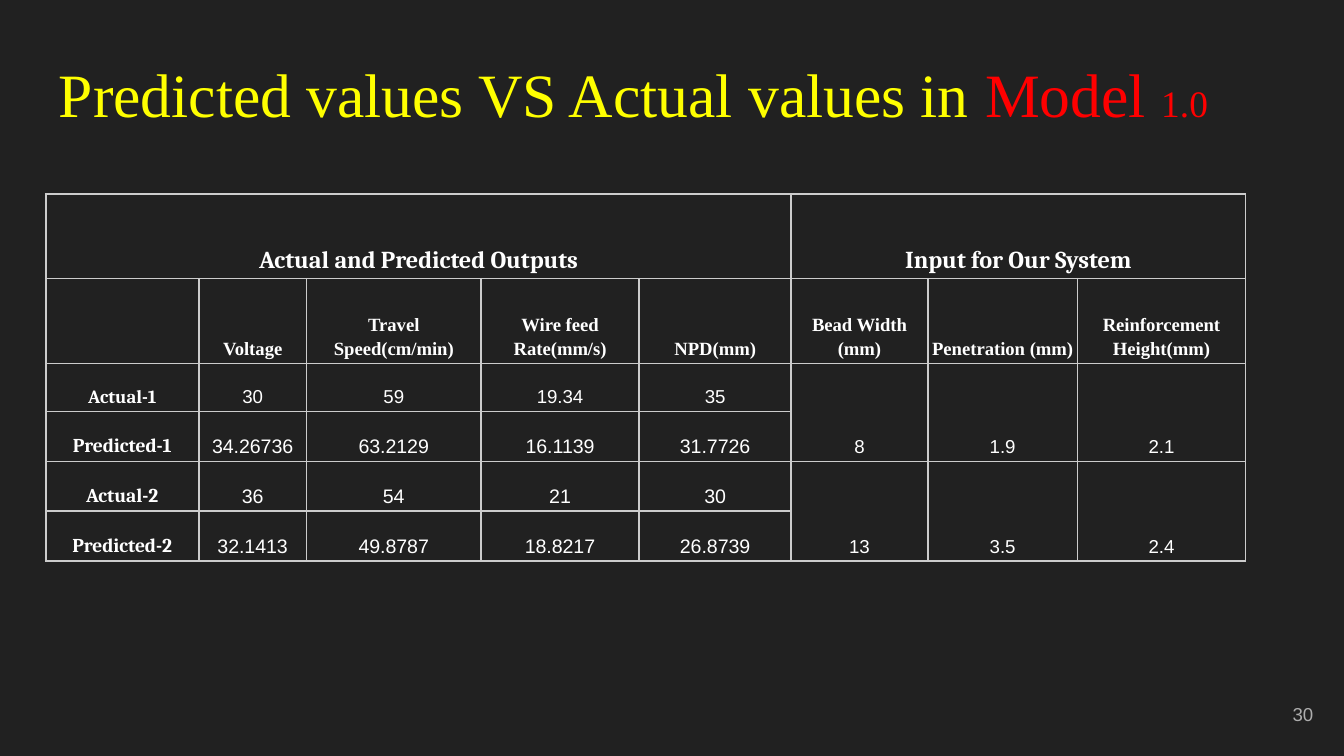
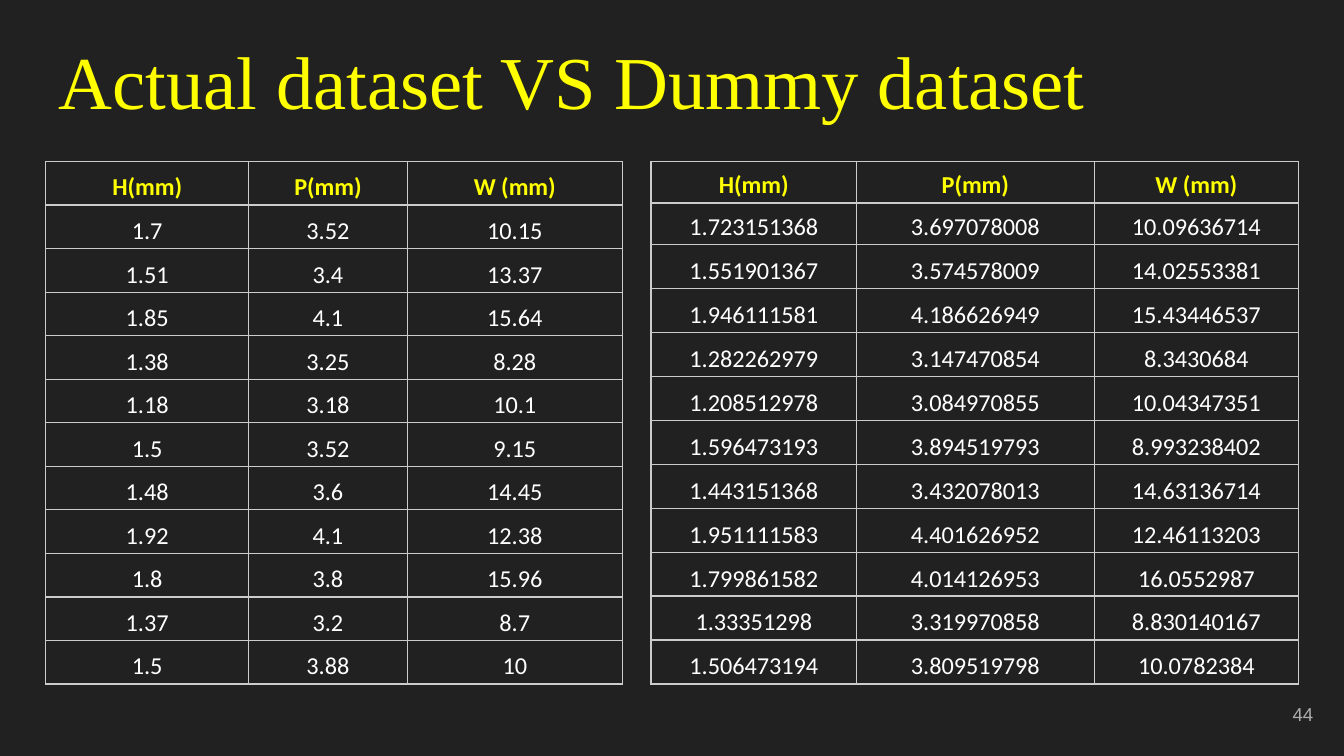
import pptx
import pptx.util
import pptx.dml.color
import pptx.enum.text
import pptx.oxml
import pptx.oxml.ns
from dataclasses import dataclass

Pt = pptx.util.Pt
Color = pptx.dml.color.RGBColor.from_string
Align = pptx.enum.text.PP_ALIGN
Anchor = pptx.enum.text.MSO_ANCHOR


@dataclass(frozen=True)
class Theme:
    background: str = "212121"
    title: str = "FFFF00"
    accent: str = "FF0000"
    body: str = "FFFFFF"
    border: str = "CCCCCC"
    number: str = "ADADAD"
    title_font: str = "Times New Roman"
    label_font: str = "Cambria"
    value_font: str = "Arial"
    data_font: str = "Calibri"
    heading_size: float = 13
    label_size: float = 10.5
    small_size: float = 10
    version_size: float = 20


theme = Theme()


def add_text(page, frame, spans, font, align, anchor):
    box = page.shapes.add_textbox(*(Pt(length) for length in frame))
    text = box.text_frame
    text.word_wrap = True
    text.vertical_anchor = anchor
    text.margin_left = text.margin_right = Pt(7.2)
    text.margin_top = text.margin_bottom = Pt(7.2)
    para = text.paragraphs[0]
    para.alignment = align
    para.font.name = font
    for words, size, color in spans:
        span = para.add_run()
        span.text = words
        span.font.size = Pt(size)
        span.font.color.rgb = Color(color)


def add_grid(page, left, top, widths, heights, rows, font, size, border, margin):
    frame = page.shapes.add_table(len(heights), len(widths), Pt(left), Pt(top),
                                  Pt(sum(widths)), Pt(sum(heights)))
    table = frame.table
    table.first_row = table.horz_banding = False
    for column, width in zip(table.columns, widths):
        column.width = Pt(width)
    for row, height in zip(table.rows, heights):
        row.height = Pt(height)
    for cell, words in zip(table.iter_cells(), (words for row in rows for words in row)):
        cell.text = words
        cell.vertical_anchor = Anchor.BOTTOM
        cell.margin_left = cell.margin_right = Pt(2)
        cell.margin_top = cell.margin_bottom = Pt(margin)
        cell.fill.background()
        para = cell.text_frame.paragraphs[0]
        para.alignment = Align.CENTER
        para.line_spacing = 1.15
        para.font.name = font
        para.font.size = Pt(size)
        para.font.color.rgb = Color(theme.body)
        properties = cell._tc.get_or_add_tcPr()
        for index, side in enumerate(("lnL", "lnR", "lnT", "lnB")):
            properties.insert(index, pptx.oxml.parse_xml(
                f'<a:{side} {pptx.oxml.ns.nsdecls("a")} w="{Pt(border)}"><a:solidFill>'
                f'<a:srgbClr val="{theme.border}"/></a:solidFill></a:{side}>'))
    return table


deck = pptx.Presentation()
deck.slide_width, deck.slide_height = Pt(720), Pt(405)

pages = []
for number, title_top, title in (
    ("30", 23, [("Predicted values VS Actual values in ", 33, theme.title),
                ("Model ", 33, theme.accent),
                ("1.0", theme.version_size, theme.accent)]),
    ("44", 11.5, [("Actual dataset VS Dummy dataset", 40, theme.title)]),
):
    page = deck.slides.add_slide(deck.slide_layouts[6])
    page.background.fill.solid()
    page.background.fill.fore_color.rgb = Color(theme.background)
    add_text(page, (24.5, title_top, 671, 45.4), title,
             theme.title_font, Align.LEFT, Anchor.TOP)
    add_text(page, (667.4, 367.2, 43.2, 31), [(number, theme.small_size, theme.number)],
             theme.value_font, Align.RIGHT, Anchor.MIDDLE)
    pages.append(page)
model_page, dataset_page = pages

model_rows = [
    ["Actual and Predicted Outputs", "", "", "", "", "Input for Our System", "", ""],
    ["", "Voltage", "Travel Speed(cm/min)", "Wire feed Rate(mm/s)", "NPD(mm)",
     "Bead Width (mm)", "Penetration (mm)", "Reinforcement Height(mm)"],
    ["Actual-1", "30", "59", "19.34", "35", "8", "1.9", "2.1"],
    ["Predicted-1", "34.26736", "63.2129", "16.1139", "31.7726", "", "", ""],
    ["Actual-2", "36", "54", "21", "30", "13", "3.5", "2.4"],
    ["Predicted-2", "32.1413", "49.8787", "18.8217", "26.8739", "", "", ""],
]
model_table = add_grid(
    model_page, 24.5, 103.9, [82, 57.8, 93.4, 84.8, 81.4, 73.2, 80.2, 90],
    [45.4, 45.4, 25.9, 26.7, 26.7, 26.7], model_rows,
    theme.value_font, theme.label_size, 1, 2)
for column in range(8):
    for row, font, size in ((0, theme.label_font, theme.heading_size),
                            (1, theme.title_font, theme.small_size)):
        heading = model_table.cell(row, column).text_frame.paragraphs[0].font
        heading.name, heading.size, heading.bold = font, Pt(size), True
    model_table.cell(2, column).text_frame.paragraphs[0].font.size = Pt(theme.small_size)
for row in range(2, 6):
    label = model_table.cell(row, 0).text_frame.paragraphs[0].font
    label.name, label.bold = theme.label_font, True
for first, last in ((0, 4), (5, 7)):
    model_table.cell(0, first).merge(model_table.cell(0, last))
for row in (2, 4):
    for column in (5, 6, 7):
        cell = model_table.cell(row, column)
        para = cell.text_frame.paragraphs[0]
        para.font.size = Pt(theme.small_size)
        para.space_after = Pt(10)
        cell.merge(model_table.cell(row + 1, column))

dataset_header = ["H(mm)", "P(mm)", "W (mm)"]
actual_rows = [
    ["1.7", "3.52", "10.15"],
    ["1.51", "3.4", "13.37"],
    ["1.85", "4.1", "15.64"],
    ["1.38", "3.25", "8.28"],
    ["1.18", "3.18", "10.1"],
    ["1.5", "3.52", "9.15"],
    ["1.48", "3.6", "14.45"],
    ["1.92", "4.1", "12.38"],
    ["1.8", "3.8", "15.96"],
    ["1.37", "3.2", "8.7"],
    ["1.5", "3.88", "10"],
]
dummy_rows = [
    ["1.723151368", "3.697078008", "10.09636714"],
    ["1.551901367", "3.574578009", "14.02553381"],
    ["1.946111581", "4.186626949", "15.43446537"],
    ["1.282262979", "3.147470854", "8.3430684"],
    ["1.208512978", "3.084970855", "10.04347351"],
    ["1.596473193", "3.894519793", "8.993238402"],
    ["1.443151368", "3.432078013", "14.63136714"],
    ["1.951111583", "4.401626952", "12.46113203"],
    ["1.799861582", "4.014126953", "16.0552987"],
    ["1.33351298", "3.319970858", "8.830140167"],
    ["1.506473194", "3.809519798", "10.0782384"],
]
for left, widths, heights, rows in (
    (24.5, [108.7, 85, 115.2], [23.35] * 12, actual_rows),
    (348.8, [110, 127.4, 109.4], [22.2] * 2 + [23.58] * 10, dummy_rows),
):
    dataset_table = add_grid(dataset_page, left, 86.5, widths, heights,
                             [dataset_header] + rows, theme.data_font,
                             theme.heading_size, 0.75, 1.4)
    for column in range(3):
        heading = dataset_table.cell(0, column).text_frame.paragraphs[0].font
        heading.bold = True
        heading.color.rgb = Color(theme.title)

deck.save("out.pptx")
